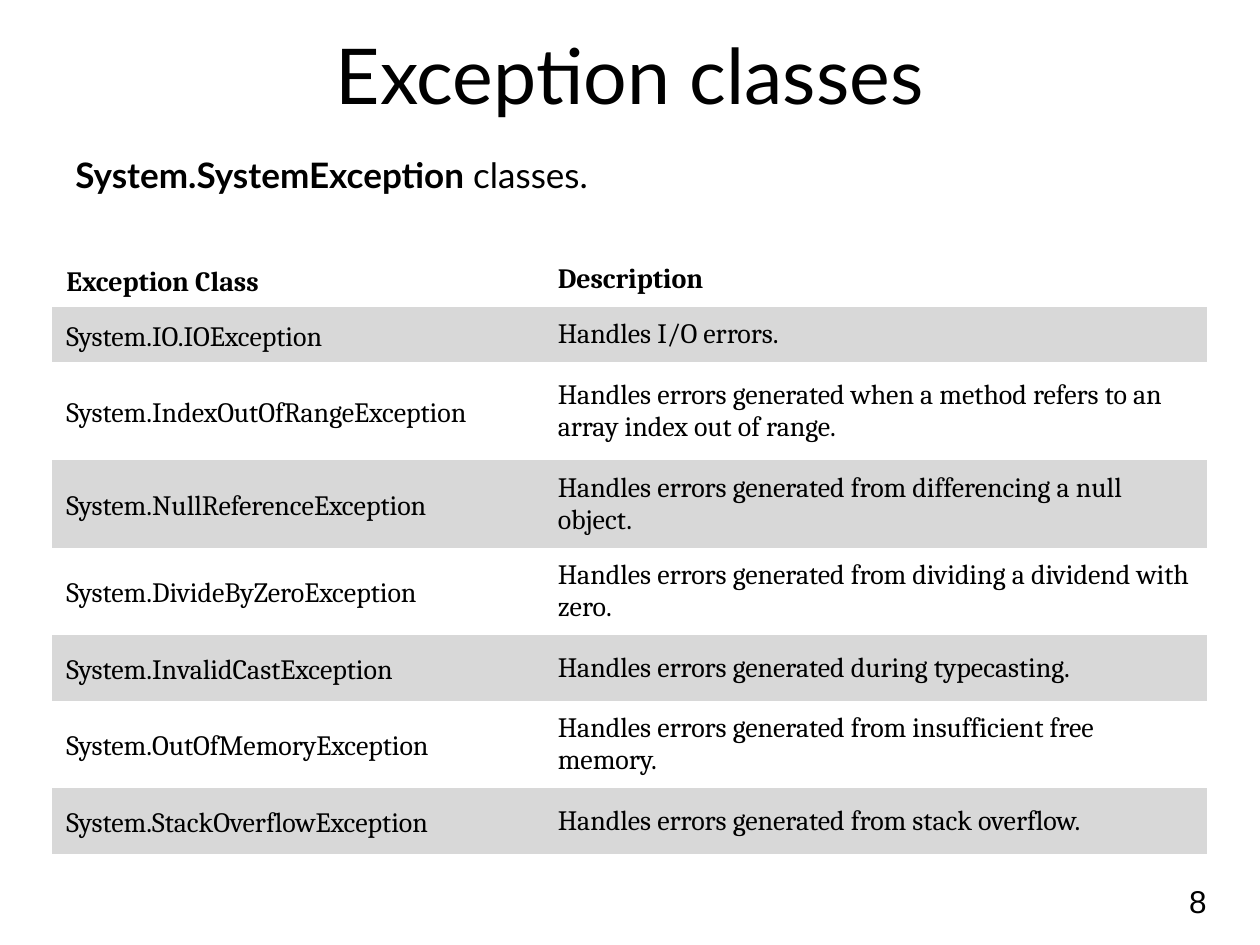
import pptx
import pptx.util
import pptx.dml.color
import pptx.enum.text
from pptx.util import Pt

# Content
TITLE = "Exception classes"
INTRO = [("System.SystemException", True), (" classes.", False)]
PAGE = "8"
ROWS = [
    ("Exception Class", "Description"),
    ("System.IO.IOException", "Handles I/O errors."),
    ("System.IndexOutOfRangeException",
     "Handles errors generated when a method refers to an array index out of range."),
    ("System.NullReferenceException",
     "Handles errors generated from differencing a null object."),
    ("System.DivideByZeroException",
     "Handles errors generated from dividing a dividend with zero."),
    ("System.InvalidCastException", "Handles errors generated during typecasting."),
    ("System.OutOfMemoryException",
     "Handles errors generated from insufficient free memory."),
    ("System.StackOverflowException", "Handles errors generated from stack overflow."),
]

# Layout, in points
COL_WIDTHS = [282, 378]
ROW_HEIGHTS = [31.5, 31.5, 56, 50, 50, 37.5, 50, 37.5]
SHADED_ROWS = {1, 3, 5, 7}


class Theme:
    text = pptx.dml.color.RGBColor.from_string("000000")
    band = pptx.dml.color.RGBColor.from_string("D8D8D8")
    title = ("Lato", 44)
    intro = ("Lato", 20)
    cell = ("Cambria", 16)
    page = ("Arial", 18)
    table_style = "{2D5ABB26-0587-4C30-8999-92F81FD0307C}"  # no style, no grid


def add_run(p, text, style, bold=False):
    r = p.add_run()
    r.text = text
    r.font.name, size = style
    r.font.size = Pt(size)
    r.font.bold = bold
    r.font.color.rgb = Theme.text


def add_box(s, left, top, width, height):
    tf = s.shapes.add_textbox(Pt(left), Pt(top), Pt(width), Pt(height)).text_frame
    tf.word_wrap = True
    return tf.paragraphs[0]


prs = pptx.Presentation()
prs.slide_width, prs.slide_height = Pt(720), Pt(540)
s = prs.slides.add_slide(prs.slide_layouts[5])

# Title
title = s.shapes.title
title.left, title.top, title.width, title.height = Pt(36), Pt(0), Pt(648), Pt(84)
title.text_frame.vertical_anchor = pptx.enum.text.MSO_ANCHOR.MIDDLE
p = title.text_frame.paragraphs[0]
p.alignment = pptx.enum.text.PP_ALIGN.CENTER
add_run(p, TITLE, Theme.title)

# Introductory line
p = add_box(s, 36, 84, 648, 398)
p.space_before = Pt(5)
for text, bold in INTRO:
    add_run(p, text, Theme.intro, bold)

# Page number
add_run(add_box(s, 672.5, 500.4, 44, 29), PAGE, Theme.page)

# Exception table
table = s.shapes.add_table(len(ROWS), len(COL_WIDTHS), Pt(30), Pt(144),
                           Pt(sum(COL_WIDTHS)), Pt(sum(ROW_HEIGHTS))).table
table.first_row = table.horz_banding = False
table._tbl.tblPr[0].text = Theme.table_style
for column, width in zip(table.columns, COL_WIDTHS):
    column.width = Pt(width)
for i, (row, height, texts) in enumerate(zip(table.rows, ROW_HEIGHTS, ROWS)):
    row.height = Pt(height)
    for j, (cell, text) in enumerate(zip(row.cells, texts)):
        cell.vertical_anchor = pptx.enum.text.MSO_ANCHOR.MIDDLE
        cell.margin_left = cell.margin_right = Pt(6.75)
        cell.margin_top = cell.margin_bottom = Pt(3.6)
        if i in SHADED_ROWS:
            cell.fill.solid()
            cell.fill.fore_color.rgb = Theme.band
        else:
            cell.fill.background()
        p = cell.text_frame.paragraphs[0]
        if j == 0:
            p.line_spacing = 1.15
            p.space_after = Pt(10)
            p._p.get_or_add_pPr().set("marL", str(Pt(1.25)))
        add_run(p, text, Theme.cell, bold=i == 0)

prs.save("out.pptx")
